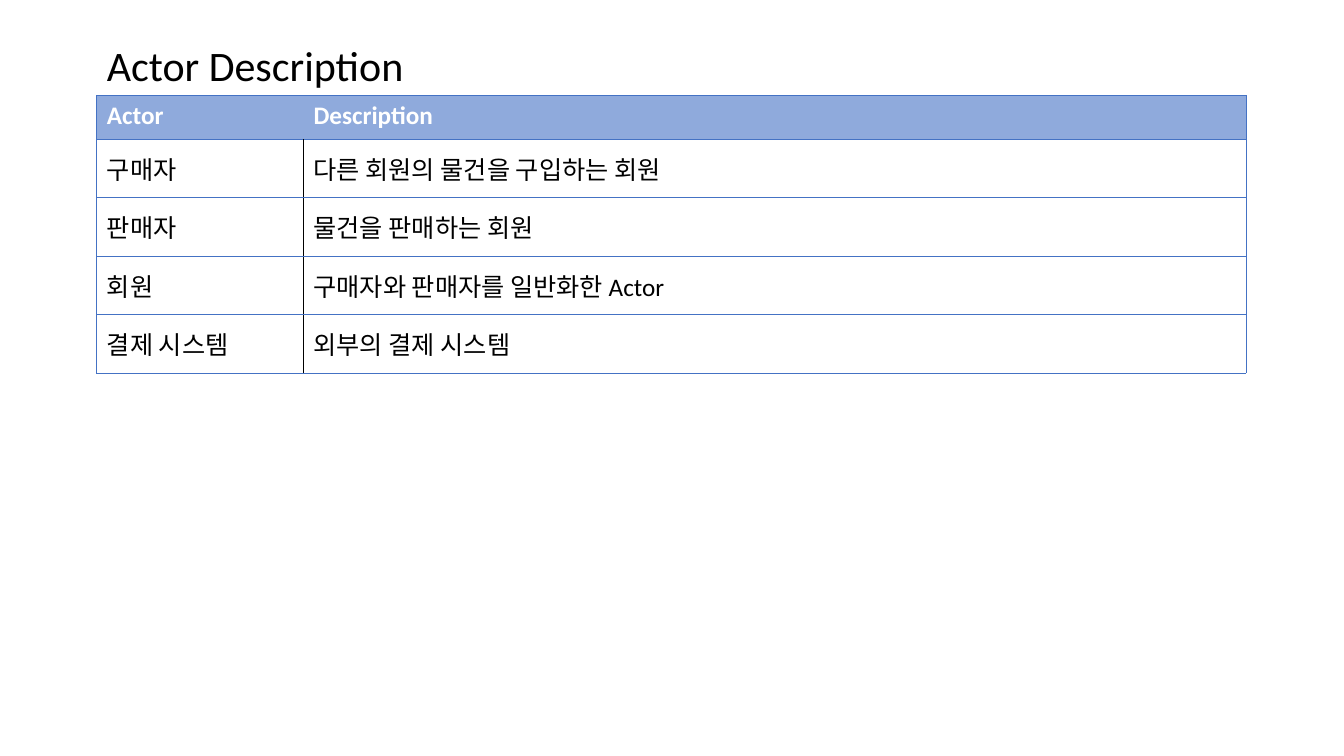
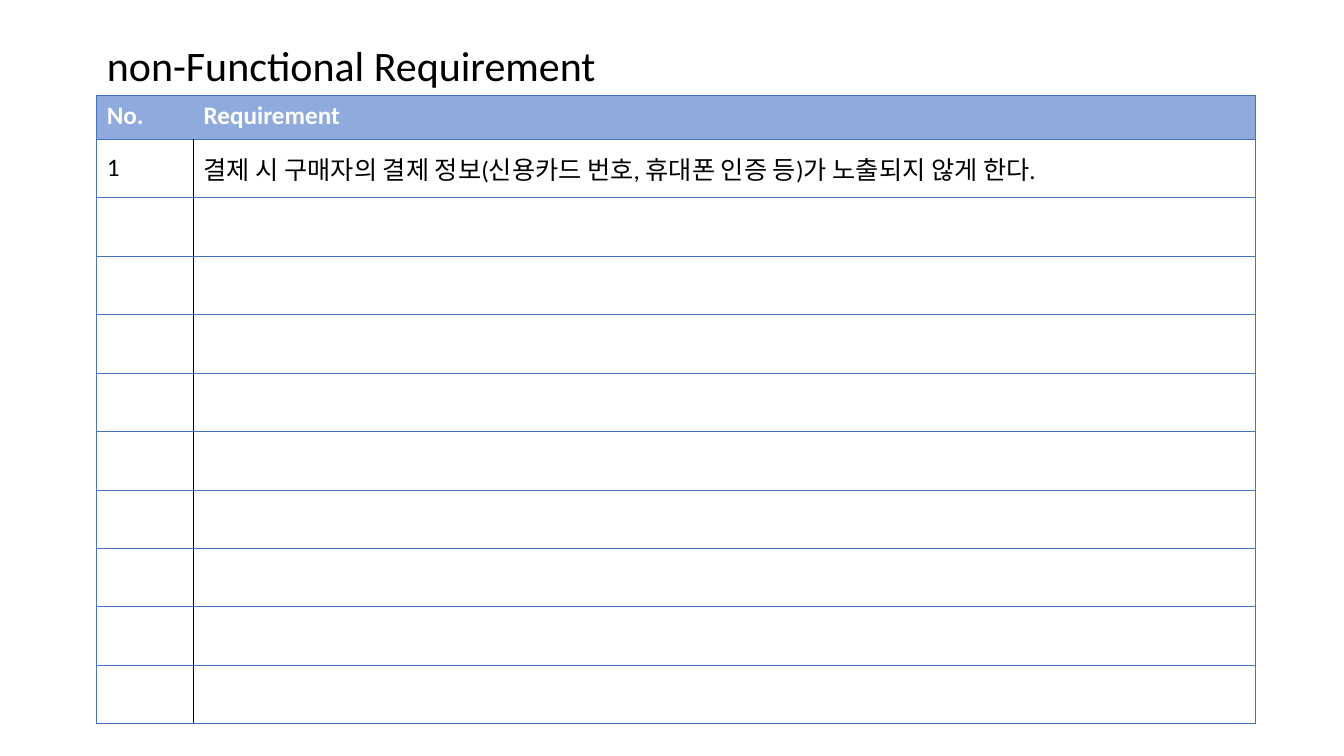
import pptx
import pptx.dml.color
import pptx.enum.text
import pptx.oxml
import pptx.oxml.ns
import pptx.util

Inches = pptx.util.Inches
Pt = pptx.util.Pt
RGB = pptx.dml.color.RGBColor
Anchor = pptx.enum.text.MSO_ANCHOR
Align = pptx.enum.text.PP_ALIGN
Fit = pptx.enum.text.MSO_AUTO_SIZE

BLACK = RGB(0, 0, 0)
WHITE = RGB(255, 255, 255)
BLUE = RGB(0x44, 0x72, 0xC4)
BAND = RGB(0x8F, 0xAA, 0xDC)
PLAIN = "{2D5ABB26-0587-4C30-8999-92F81FD0307C}"


def write(frame, text, size=18, color=BLACK, bold=False):
    para = frame.paragraphs[0]
    para.alignment = Align.LEFT
    para.line_spacing = 1.0
    font = para.font
    if text:
        run = para.add_run()
        run.text = text
        font = run.font
    font.name = "Calibri"
    font.size = Pt(size)
    font.bold = bold
    font.color.rgb = color


def edge(cell, side, color, width):
    line = pptx.oxml.parse_xml(
        f'<a:{side} {pptx.oxml.ns.nsdecls("a")} w="{Pt(width)}">'
        f'<a:solidFill><a:srgbClr val="{color}"/></a:solidFill></a:{side}>')
    cell._tc.get_or_add_tcPr().append(line)


class Deck:
    left = Inches(0.96)
    top = Inches(0.95)
    head = Inches(0.43)
    row = Inches(0.58)

    def __init__(self):
        self.file = pptx.Presentation()
        self.file.slide_width = Inches(13.33)
        self.file.slide_height = Inches(7.5)
        self.slide = None

    def page(self, title, width):
        self.slide = self.file.slides.add_slide(self.file.slide_layouts[5])
        box = self.slide.shapes.title
        box.left, box.top = self.left, Inches(0.34)
        box.width, box.height = Inches(width), Inches(0.61)
        frame = box.text_frame
        frame.word_wrap = False
        frame.auto_size = Fit.SHAPE_TO_FIT_TEXT
        frame.vertical_anchor = Anchor.TOP
        write(frame, title, size=30)

    def table(self, widths, rows):
        high = self.head + self.row * (len(rows) - 1)
        frame = self.slide.shapes.add_table(
            len(rows), len(widths), self.left, self.top,
            Inches(sum(widths)), high)
        frame.element.xpath(".//a:tableStyleId")[0].text = PLAIN
        grid = frame.table
        grid.horz_banding = False
        for col, width in zip(grid.columns, widths):
            col.width = Inches(width)
        for r, texts in enumerate(rows):
            grid.rows[r].height = self.row if r else self.head
            for c, text in enumerate(texts):
                self.cell(grid.cell(r, c), text, r == 0, c == 0,
                          c == len(widths) - 1)

    def cell(self, cell, text, head, first, last):
        for side, outer in (("lnL", first), ("lnR", last)):
            if outer:
                edge(cell, side, BLUE, 0.5)
            elif not head:
                edge(cell, side, BLACK, 1)
        for side in ("lnT", "lnB"):
            edge(cell, side, BLUE, 0.5)
        if head:
            cell.fill.solid()
            cell.fill.fore_color.rgb = BAND
        else:
            cell.fill.background()
        cell.vertical_anchor = Anchor.TOP if head else Anchor.MIDDLE
        write(cell.text_frame, text, color=WHITE if head else BLACK, bold=head)


deck = Deck()

deck.page("Actor Description", 3.18)
deck.table((2.05, 9.35), [
    ("Actor", "Description"),
    ("구매자", "다른 회원의 물건을 구입하는 회원"),
    ("판매자", "물건을 판매하는 회원"),
    ("회원", "구매자와 판매자를 일반화한 Actor"),
    ("결제 시스템", "외부의 결제 시스템"),
])

deck.page("non-Functional Requirement", 5.1)
deck.table((0.96, 10.53), [
    ("No.", "Requirement"),
    ("1", "결제 시 구매자의 결제 정보(신용카드 번호, 휴대폰 인증 등)가 노출되지 않게 한다."),
] + [("", "")] * 9)

deck.file.save("out.pptx")
